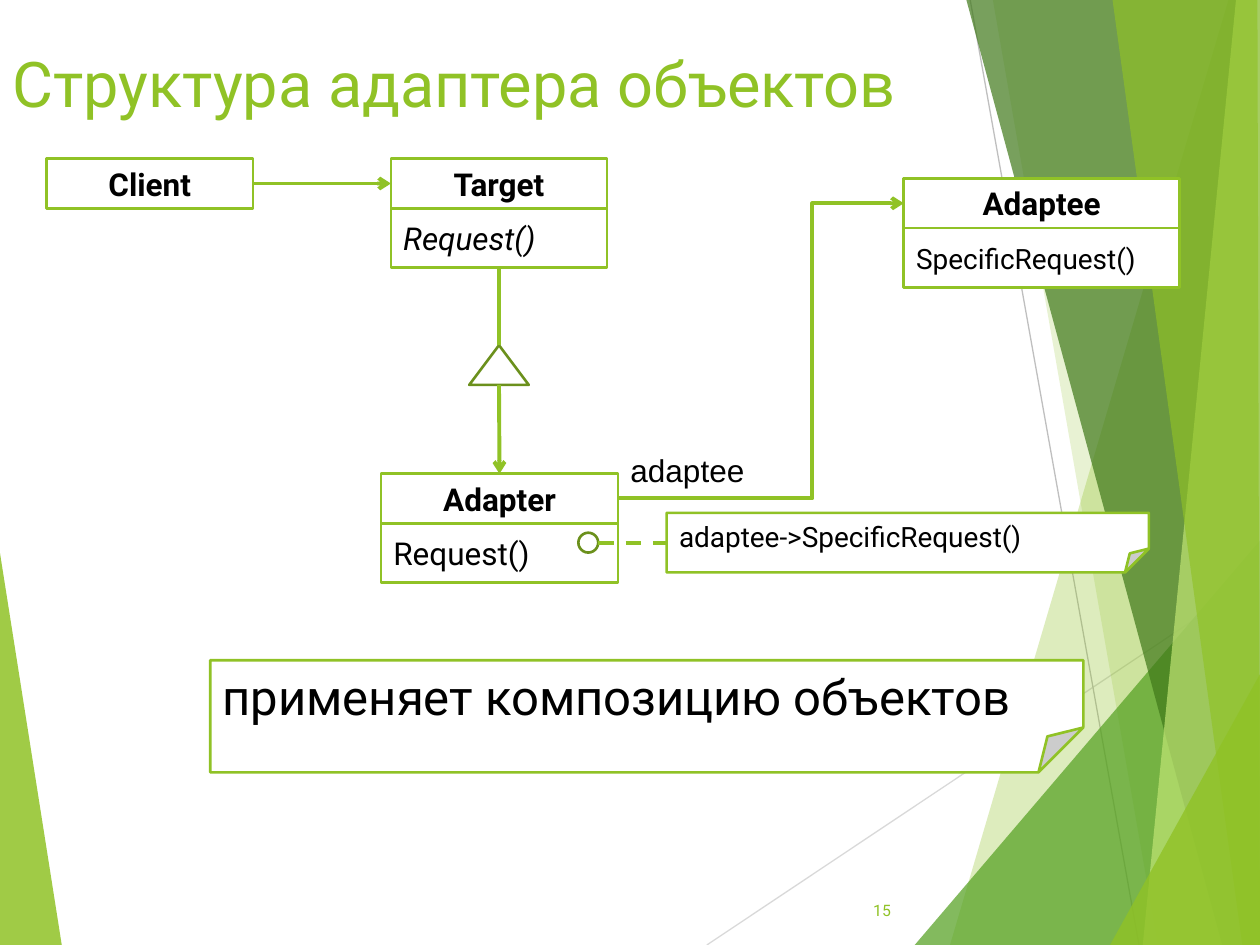
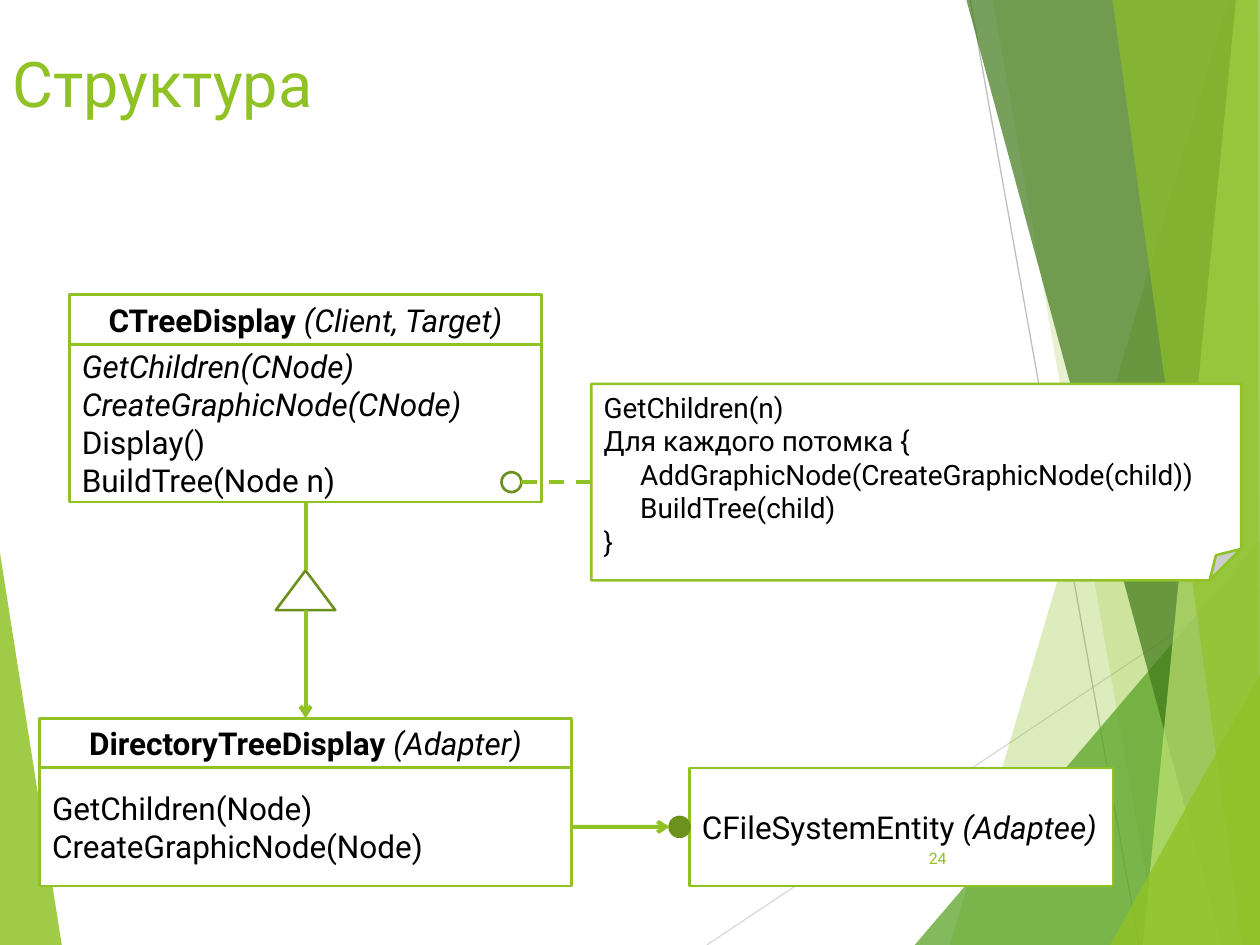
from dataclasses import dataclass

from pptx import Presentation
from pptx.dml.color import RGBColor
from pptx.enum.dml import MSO_LINE
from pptx.enum.shapes import MSO_CONNECTOR, MSO_SHAPE
from pptx.enum.text import MSO_ANCHOR, PP_ALIGN
from pptx.oxml.ns import qn
from pptx.oxml.xmlchemy import OxmlElement
from pptx.util import Inches, Pt


@dataclass(frozen=True)
class Theme:
    font: str = "Roboto"
    label_font: str = "Arial"
    accent: str = "90C226"
    dark: str = "6B901C"
    dot: str = "6C921D"
    paper: str = "FFFFFF"
    ink: str = "000000"
    title: int = 36
    lead: int = 28
    body: int = 18
    small: int = 16
    number: int = 9
    outline: float = 1.5
    link: float = 2.25


THEME = Theme()
WIDTH, HEIGHT = 10, 7.5
COLUMNS = 127
CELL = WIDTH / COLUMNS
HEAD, RING, TRIANGLE = 5, 2, (6, 4)
TOP, LEFT, BOTTOM, RIGHT = range(4)

BACK_LINES = [
    ("D9D9D9", (5.61, 7.5), (10, 4.57)),
    ("BFBFBF", (7.7, 0), (9.04, 7.5)),
]
LEFT_FACET = ("90C226", 85, [(0, 4.39), (0.49, 7.5), (0, 7.5)])
RIGHT_FACETS = [
    ("90C226", 30, [(9.75, 0), (7.54, 7.5), (10, 7.5), (10, 0)]),
    ("90C226", 20, [(7.88, 0), (9.19, 7.5), (10, 7.5), (10, 0)]),
    ("54A021", 72, [(7.26, 7.5), (10, 4.29), (10, 7.5)]),
    ("3F7819", 70, [(7.67, 0), (9.7, 7.5), (10, 7.5), (10, 0)]),
    ("C0E474", 70, [(9.81, 0), (9.07, 7.5), (10, 7.5), (10, 0)]),
    ("90C226", 65, [(8.83, 0), (9.86, 7.5), (10, 7.5), (9.98, 0)]),
    ("90C226", 80, [(8.81, 7.5), (10, 5.35), (10, 7.5)]),
]

SLIDES = [
    {
        "title": "Структура адаптера объектов",
        "number": ("15", 83.95, 89.2),
        "classes": {
            "Client": dict(at=(4.7, 16), width=20.8, head=[("Client", "b")]),
            "Target": dict(at=(39.4, 16), width=21.8, head=[("Target", "b")],
                           body=[[("Request()", "i")]], rows=6),
            "Adapter": dict(at=(38.4, 47.75), width=23.9, head=[("Adapter", "b")],
                            body=[[("Request()", "")]], rows=6),
            "Adaptee": dict(at=(91.1, 18), width=27.8, head=[("Adaptee", "b")],
                            body=[[("SpecificRequest()", "")]], rows=6, size=THEME.small),
        },
        "notes": [
            dict(at=(67.2, 51.7, 48.6, 6), fold=0.4, size=THEME.small, ring=58.3,
                 lines=[("adaptee->SpecificRequest()", 0)]),
            dict(at=(21.2, 66.55, 88, 11.3), fold=0.4, size=THEME.lead,
                 lines=[("применяет композицию объектов", 0)]),
        ],
        "inherits": ("Target", "Adapter", 34.8),
        "uses": [("Client", "Target")],
        "elbow": ("Adapter", "Adaptee", 0.68),
        "label": ("adaptee", (62.3, 44.8, 22.9, 5.1)),
    },
    {
        "title": "Структура",
        "number": ("24", 89.55, 84),
        "classes": {
            "Tree": dict(at=(7, 29.7), width=47.6,
                         head=[("CTreeDisplay ", "b"), ("(Client, Target)", "i")],
                         body=[[("GetChildren(CNode)", "i")],
                               [("CreateGraphicNode(CNode)", "i")],
                               [("Display()", "")], [("BuildTree(Node n)", "")]], rows=15.9),
            "Directory": dict(at=(4, 72.4), width=53.6,
                              head=[("DirectoryTreeDisplay ", "b"), ("(Adapter)", "i")],
                              body=[[("GetChildren(Node)", "")],
                                    [("CreateGraphicNode(Node)", "")]], rows=11.9),
            "Entity": dict(at=(69.5, 77.4), width=42.7,
                           body=[[("CFileSystemEntity ", ""), ("(Adaptee)", "i")]], rows=11.9),
        },
        "notes": [
            dict(at=(59.6, 38.7, 65.5, 19.8), fold=0.16, size=THEME.small, ring=50.55,
                 lines=[("GetChildren(n)", 0), ("Для каждого потомка {", 0),
                        ("AddGraphicNode(CreateGraphicNode(child))", 1),
                        ("BuildTree(child)", 1), ("}", 0)]),
        ],
        "inherits": ("Tree", "Directory", 57.5),
        "holds": ("Directory", "Entity"),
    },
]


def cells(*counts):
    return [Inches(count * CELL) for count in counts]


def color(code):
    return RGBColor.from_string(code)


def style_run(span, size, style="", code=THEME.ink, font=THEME.font):
    span.font.name = font
    span.font.size = Pt(size)
    span.font.color.rgb = color(code)
    span.font.bold = "b" in style
    span.font.italic = "i" in style


def write(box, lines, size, align=PP_ALIGN.LEFT, anchor=MSO_ANCHOR.TOP, **look):
    frame = box.text_frame
    frame.word_wrap = True
    frame.vertical_anchor = anchor
    for index, line in enumerate(lines):
        para = frame.add_paragraph() if index else frame.paragraphs[0]
        para.alignment = align
        for text, style in line:
            span = para.add_run()
            span.text = text
            style_run(span, size, style, **look)


def draw_shape(page, kind, at, fill=None, line=THEME.accent):
    shape = page.shapes.add_shape(kind, *cells(*at))
    shape.shadow.inherit = False
    if fill:
        shape.fill.solid()
        shape.fill.fore_color.rgb = color(fill)
    else:
        shape.fill.background()
    shape.line.color.rgb = color(line)
    shape.line.width = Pt(THEME.outline)
    return shape


def draw_line(page, start, end, code=THEME.accent, width=THEME.link, arrow=False,
              kind=MSO_CONNECTOR.STRAIGHT):
    link = page.shapes.add_connector(kind, *start, *end)
    link.line.color.rgb = color(code)
    link.line.width = Pt(width)
    if arrow:
        tip = OxmlElement("a:tailEnd")
        tip.set("type", "arrow")
        link.line._get_or_add_ln().append(tip)
    link.element.spPr.append(OxmlElement("a:effectLst"))
    return link


def set_guide(shape, name, share):
    guide = OxmlElement("a:gd")
    guide.set("name", name)
    guide.set("fmla", f"val {round(share * 100000)}")
    values = shape.element.spPr.find(qn("a:prstGeom")).get_or_add_avLst()
    for old in list(values):
        values.remove(old)
    values.append(guide)


def middle(shape, side):
    across = {LEFT: 0, RIGHT: 1}.get(side, 0.5)
    down = {TOP: 0, BOTTOM: 1}.get(side, 0.5)
    return int(shape.left + shape.width * across), int(shape.top + shape.height * down)


def draw_facet(page, code, opacity, points):
    start, *rest = [(Inches(x), Inches(y)) for x, y in points]
    builder = page.shapes.build_freeform(*start)
    builder.add_line_segments(rest, close=True)
    facet = builder.convert_to_shape()
    facet.shadow.inherit = False
    facet.line.fill.background()
    facet.fill.solid()
    facet.fill.fore_color.rgb = color(code)
    alpha = OxmlElement("a:alpha")
    alpha.set("val", str(opacity * 1000))
    facet.element.spPr.find(qn("a:solidFill"))[0].append(alpha)
    return facet


def dress_layout(layout, page):
    parts = [draw_facet(page, *LEFT_FACET)]
    for code, start, end in BACK_LINES:
        ends = [[Inches(value) for value in point] for point in (start, end)]
        parts.append(draw_line(page, *ends, code=code, width=0.75))
    parts += [draw_facet(page, *facet) for facet in RIGHT_FACETS]
    for part in parts:
        layout.shapes.element.append(part.element)


def draw_title(page, text):
    title = page.shapes.title
    title.left, title.top, title.width, title.height = map(Inches, (0, 0.3, 9, 1.25))
    write(title, [[(text, "")]], THEME.title, code=THEME.accent)


def draw_class(page, at, width, head=None, body=None, rows=0, size=THEME.body):
    left, top = at
    boxes = []
    if head:
        box = draw_shape(page, MSO_SHAPE.RECTANGLE, (left, top, width, HEAD), THEME.paper)
        write(box, [head], THEME.body, PP_ALIGN.CENTER, MSO_ANCHOR.MIDDLE)
        boxes.append(box)
        top += HEAD
    if body:
        box = draw_shape(page, MSO_SHAPE.RECTANGLE, (left, top, width, rows), THEME.paper)
        write(box, body, size, anchor=MSO_ANCHOR.MIDDLE)
        boxes.append(box)
    return boxes


def draw_note(page, at, fold, size, lines, ring=None):
    note = draw_shape(page, MSO_SHAPE.FOLDED_CORNER, at, THEME.paper)
    set_guide(note, "adj", fold)
    write(note, [[(text, "")] for text, level in lines], size)
    for para, (text, level) in zip(note.text_frame.paragraphs, lines):
        if level:
            para._p.get_or_add_pPr().set("marL", str(Inches(0.29 * level)))
    if ring:
        ring_top = at[1] + (at[3] - RING) / 2
        circle = draw_shape(page, MSO_SHAPE.OVAL, (ring, ring_top, RING, RING), line=THEME.dark)
        link = draw_line(page, middle(circle, RIGHT), middle(note, LEFT))
        link.line.dash_style = MSO_LINE.DASH
        link.end_connect(note, LEFT)


def draw_inheritance(page, parent, child, top):
    axis = (parent.left + parent.width / 2) / Inches(CELL)
    wide, high = TRIANGLE
    triangle = draw_shape(page, MSO_SHAPE.ISOSCELES_TRIANGLE,
                          (axis - wide / 2, top, wide, high), line=THEME.dark)
    upper = draw_line(page, middle(parent, BOTTOM), middle(triangle, TOP))
    upper.begin_connect(parent, BOTTOM)
    lower = draw_line(page, middle(triangle, BOTTOM), middle(child, TOP), arrow=True)
    lower.end_connect(child, TOP)


def draw_use(page, user, used):
    link = draw_line(page, middle(user, RIGHT), middle(used, LEFT), arrow=True)
    link.begin_connect(user, RIGHT)
    link.end_connect(used, LEFT)


def draw_elbow(page, owner, target, bend):
    link = draw_line(page, middle(owner, RIGHT), middle(target, LEFT), arrow=True,
                     kind=MSO_CONNECTOR.ELBOW)
    set_guide(link, "adj1", bend)


def draw_holding(page, owner, held):
    x, y = [value / Inches(CELL) for value in middle(held, LEFT)]
    dot = draw_shape(page, MSO_SHAPE.OVAL, (x - RING, y - RING / 2, RING, RING),
                     THEME.dot, THEME.dark)
    link = draw_line(page, middle(owner, RIGHT), middle(dot, LEFT), arrow=True)
    link.begin_connect(owner, RIGHT)


def draw_slide(page, content):
    draw_title(page, content["title"])
    boxes = {name: draw_class(page, **entry) for name, entry in content["classes"].items()}
    for note in content["notes"]:
        draw_note(page, **note)
    parent, child, top = content["inherits"]
    draw_inheritance(page, boxes[parent][-1], boxes[child][0], top)
    for user, used in content.get("uses", []):
        draw_use(page, boxes[user][0], boxes[used][0])
    if "elbow" in content:
        owner, target, bend = content["elbow"]
        draw_elbow(page, boxes[owner][0], boxes[target][0], bend)
    if "holds" in content:
        owner, held = content["holds"]
        draw_holding(page, boxes[owner][-1], boxes[held][-1])
    if "label" in content:
        text, at = content["label"]
        label = page.shapes.add_textbox(*cells(*at))
        write(label, [[(text, "")]], THEME.body, font=THEME.label_font)
    text, left, top = content["number"]
    number = page.shapes.add_textbox(*cells(left, top, 7.1, 5.1))
    write(number, [[(text, "")]], THEME.number, PP_ALIGN.RIGHT, MSO_ANCHOR.MIDDLE,
          code=THEME.accent)


def main():
    deck = Presentation()
    deck.slide_width, deck.slide_height = Inches(WIDTH), Inches(HEIGHT)
    layout = deck.slide_layouts[5]
    pages = [deck.slides.add_slide(layout) for content in SLIDES]
    dress_layout(layout, pages[0])
    for page, content in zip(pages, SLIDES):
        draw_slide(page, content)
    deck.save("out.pptx")


if __name__ == "__main__":
    main()
